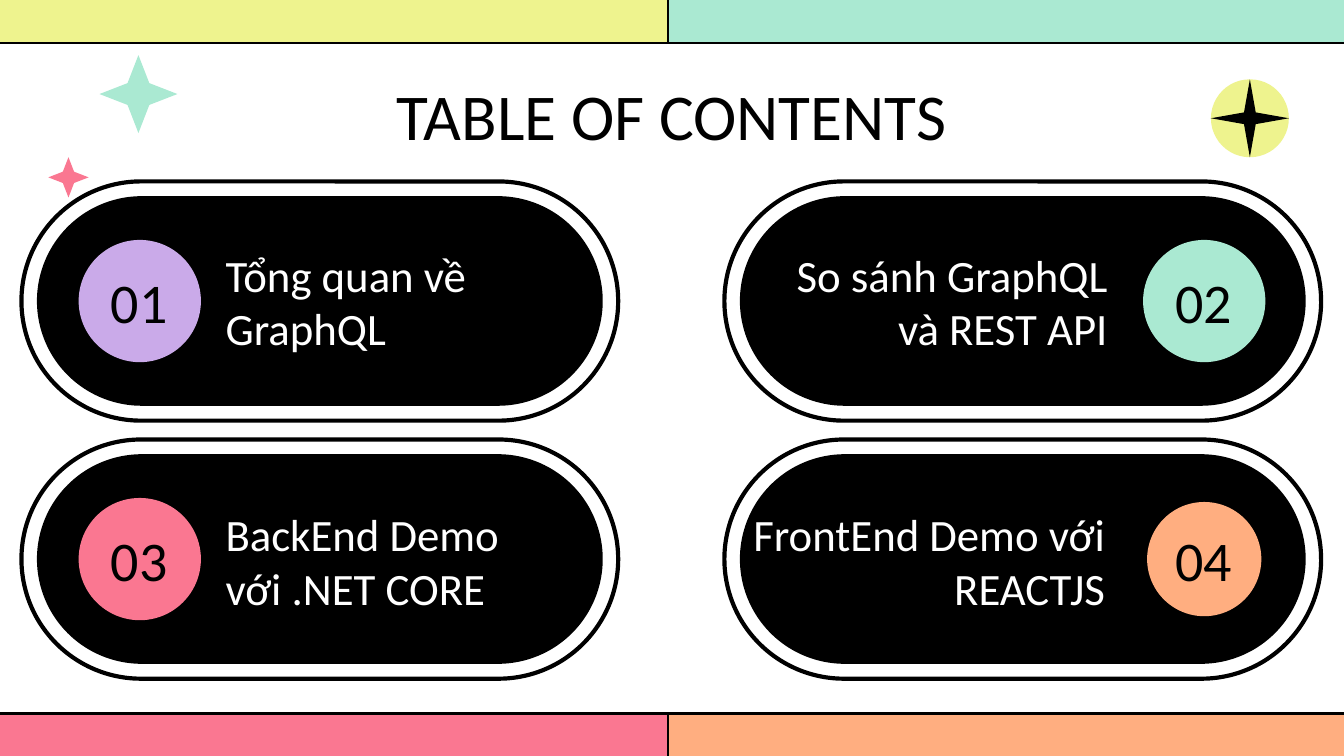
from pptx import Presentation
from pptx.dml.color import RGBColor
from pptx.enum.shapes import MSO_SHAPE as Shape
from pptx.enum.text import MSO_ANCHOR as Anchor, MSO_AUTO_SIZE as AutoSize, PP_ALIGN as Align
from pptx.util import Inches, Pt

# Content
TITLE = "TABLE OF CONTENTS"
BLACK, WHITE = "000000", "FFFFFF"
YELLOW, MINT, PINK, ORANGE, PURPLE = "EEF38E", "AAE9D2", "FA7791", "FFAE80", "CAAAE9"
# number, topic, circle colour, circle size, topic left, topic width, topic height
TOPICS = [
    ("01", "Tổng quan về GraphQL", PURPLE, 0.91, 1.58, 2.6, 1.16),
    ("02", "So sánh GraphQL và REST API", MINT, 0.91, 5.51, 2.83, 1.16),
    ("03", "BackEnd Demo với .NET CORE", PINK, 0.91, 1.58, 2.9, 1.19),
    ("04", "FrontEnd Demo với REACTJS", ORANGE, 0.85, 5.48, 2.84, 1.19),
]
# left, top, width, colour
BANDS = [(-0.09, -0.06, 5.07, YELLOW), (4.97, -0.06, 5.11, MINT),
         (-0.09, 5.31, 5.07, PINK), (4.97, 5.31, 5.11, ORANGE)]
# shape, left, top, size, colour, adjustment
ORNAMENTS = [
    (Shape.OVAL, 9.01, 0.59, 0.58, YELLOW, None),
    (Shape.STAR_4_POINT, 9.01, 0.59, 0.58, BLACK, 0.107),
    (Shape.STAR_4_POINT, 0.74, 0.41, 0.58, MINT, 0.198),
    (Shape.STAR_4_POINT, 0.36, 1.17, 0.3, PINK, 0.198),
]

# Column and row centres
PILL_X = [2.38, 7.61]
CIRCLE_X = [1.04, 8.96]
ROW_Y = [2.24, 4.16]
TOPIC_Y = [2.24, 4.17]
OUTER, INNER = (4.44, 1.78), (4.21, 1.56)


def color(value):
    return RGBColor.from_string(value)


def add_shape(kind, left, top, width, height, fill=None, line=None, adjust=None):
    shape = page.shapes.add_shape(kind, Inches(left), Inches(top), Inches(width), Inches(height))
    shape.shadow.inherit = False
    if fill:
        shape.fill.solid()
        shape.fill.fore_color.rgb = color(fill)
    else:
        shape.fill.background()
    if line:
        shape.line.color.rgb = color(BLACK)
        shape.line.width = Pt(line)
    else:
        shape.line.fill.background()
    if adjust is not None:
        shape.adjustments[0] = adjust


def add_centered(kind, x, y, width, height, **style):
    add_shape(kind, x - width / 2, y - height / 2, width, height, **style)


def write(box, text, size, ink, align):
    frame = box.text_frame
    frame.word_wrap = True
    frame.auto_size = AutoSize.NONE
    frame.vertical_anchor = Anchor.MIDDLE
    frame.margin_left = frame.margin_right = Inches(0.1)
    frame.margin_top = frame.margin_bottom = Inches(0.1)
    frame.text = text
    para = frame.paragraphs[0]
    para.alignment = align
    para.line_spacing = 1.0
    para.font.name = "Calibri"
    para.font.size = Pt(size)
    para.font.color.rgb = color(ink)


def add_text(left, y, width, height, *style):
    box = page.shapes.add_textbox(Inches(left), Inches(y - height / 2), Inches(width), Inches(height))
    write(box, *style)


# Widescreen page, 16 to 9
deck = Presentation()
deck.slide_width = Inches(10)
deck.slide_height = Inches(10) * 9 // 16
page = deck.slides.add_slide(deck.slide_layouts[5])

# Colour bands
for left, top, width, fill in BANDS:
    add_shape(Shape.RECTANGLE, left, top, width, 0.38, fill=fill, line=1.5)

# Title
title = page.shapes.title
title.left, title.top, title.width, title.height = map(Inches, (1.75, 0.59, 6.5, 0.52))
write(title, TITLE, 35, BLACK, Align.CENTER)

# Topics in a two by two grid
for index, (number, topic, fill, size, left, width, height) in enumerate(TOPICS):
    row, column = divmod(index, 2)
    x, y = CIRCLE_X[column], ROW_Y[row]
    add_centered(Shape.ROUNDED_RECTANGLE, PILL_X[column], y, *OUTER, line=2.25, adjust=0.5)
    add_centered(Shape.ROUNDED_RECTANGLE, PILL_X[column], y, *INNER, fill=BLACK, adjust=0.5)
    add_centered(Shape.OVAL, x, y, size, size, fill=fill)
    add_text(left, TOPIC_Y[row], width, height, topic, 24, WHITE,
             Align.RIGHT if column else Align.LEFT)
    add_text(x - 0.43, y, 0.85, 0.65, number, 30, BLACK, Align.CENTER)

# Ornaments
for kind, left, top, size, fill, adjust in ORNAMENTS:
    add_shape(kind, left, top, size, size, fill=fill, adjust=adjust)

deck.save("out.pptx")
